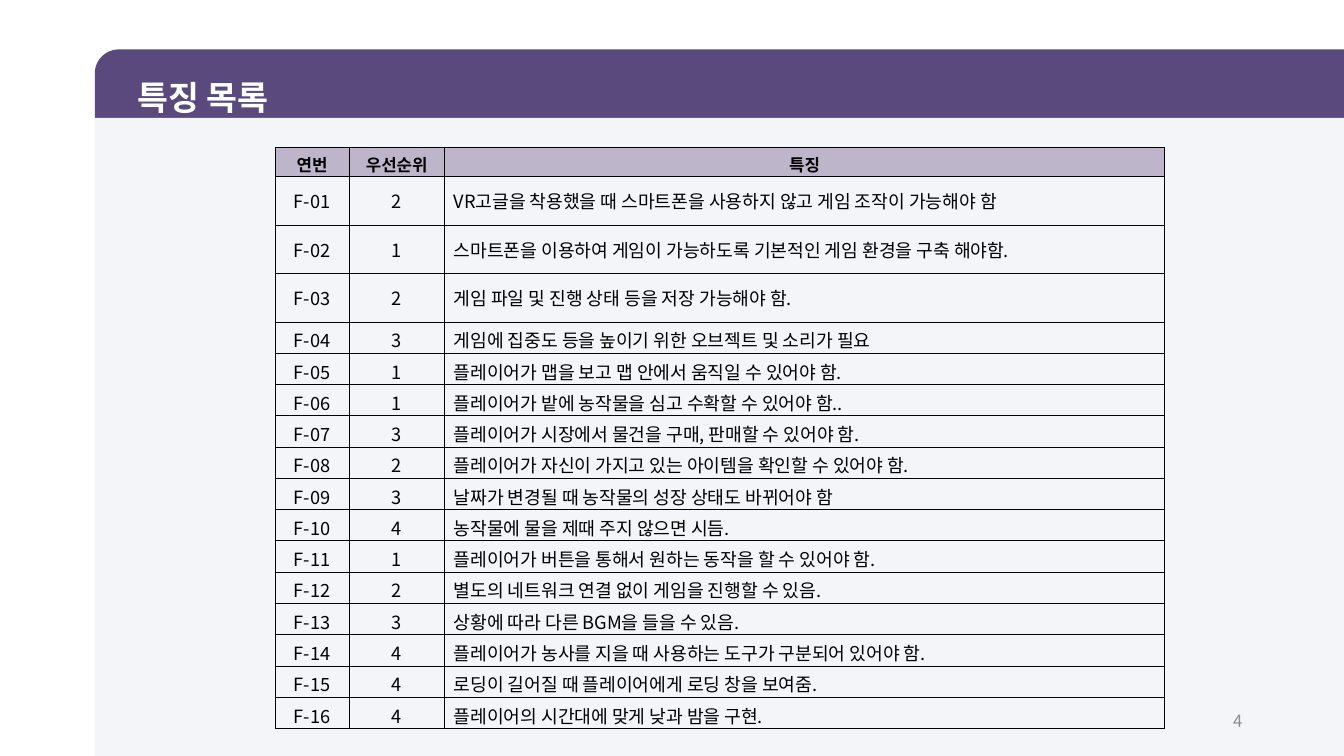
import pptx
import pptx.util
import pptx.dml.color
import pptx.enum.shapes
import pptx.enum.text
import pptx.oxml
import pptx.oxml.ns

Inches = pptx.util.Inches
Pt = pptx.util.Pt
RGBColor = pptx.dml.color.RGBColor
SHAPE = pptx.enum.shapes.MSO_SHAPE
ALIGN = pptx.enum.text.PP_ALIGN
ANCHOR = pptx.enum.text.MSO_ANCHOR
qn = pptx.oxml.ns.qn

FONT = "Noto Sans CJK KR"
PURPLE = RGBColor(0x5A, 0x49, 0x7D)
PALE = RGBColor(0xF4, 0xF5, 0xF9)
LILAC = RGBColor(0xBD, 0xB6, 0xCB)
WHITE = RGBColor(0xFF, 0xFF, 0xFF)
BLACK = RGBColor(0, 0, 0)
GRAY = RGBColor(0x8C, 0x8C, 0x8C)

HEADS = ["연번", "우선순위", "특징"]
ITEMS = [
    (2, "VR고글을 착용했을 때 스마트폰을 사용하지 않고 게임 조작이 가능해야 함"),
    (1, "스마트폰을 이용하여 게임이 가능하도록 기본적인 게임 환경을 구축 해야함."),
    (2, "게임 파일 및 진행 상태 등을 저장 가능해야 함."),
    (3, "게임에 집중도 등을 높이기 위한 오브젝트 및 소리가 필요"),
    (1, "플레이어가 맵을 보고 맵 안에서 움직일 수 있어야 함."),
    (1, "플레이어가 밭에 농작물을 심고 수확할 수 있어야 함.."),
    (3, "플레이어가 시장에서 물건을 구매, 판매할 수 있어야 함."),
    (2, "플레이어가 자신이 가지고 있는 아이템을 확인할 수 있어야 함."),
    (3, "날짜가 변경될 때 농작물의 성장 상태도 바뀌어야 함"),
    (4, "농작물에 물을 제때 주지 않으면 시듬."),
    (1, "플레이어가 버튼을 통해서 원하는 동작을 할 수 있어야 함."),
    (2, "별도의 네트워크 연결 없이 게임을 진행할 수 있음."),
    (3, "상황에 따라 다른 BGM을 들을 수 있음."),
    (4, "플레이어가 농사를 지을 때 사용하는 도구가 구분되어 있어야 함."),
    (4, "로딩이 길어질 때 플레이어에게 로딩 창을 보여줌."),
    (4, "플레이어의 시간대에 맞게 낮과 밤을 구현."),
]


def write(frame, text, size=13, color=BLACK, bold=False, align=ALIGN.LEFT,
          space=None):
    para = frame.paragraphs[0]
    para.alignment = align
    para.line_spacing = space
    run = para.add_run()
    run.text = text
    font = run.font
    font.name, font.size, font.bold = FONT, Pt(size), bold
    font.color.rgb = color
    # Kerning off; East Asian letters take their own font entry
    props = run._r.rPr
    props.set("kern", "0")
    east = pptx.oxml.parse_xml(
        '<a:ea xmlns:a="http://schemas.openxmlformats.org/drawingml/2006/main"'
        f' typeface="{FONT}"/>')
    props.find(qn("a:latin")).addnext(east)


def place(shape, left, top, width, height):
    shape.left, shape.top = Inches(left), Inches(top)
    shape.width, shape.height = Inches(width), Inches(height)


def panel(slide, kind, top, height, color):
    shape = slide.shapes.add_shape(
        kind, Inches(0.94), Inches(top), Inches(12.39), Inches(height))
    shape.shadow.inherit = False
    shape.fill.solid()
    shape.fill.fore_color.rgb = color
    shape.line.fill.background()
    shape._element.spPr.xfrm.set("flipH", "1")
    return shape


def border(cell):
    props = cell._tc.get_or_add_tcPr()
    for at, side in enumerate(("lnL", "lnR", "lnT", "lnB")):
        props.insert(at, pptx.oxml.parse_xml(
            f'<a:{side} xmlns:a="http://schemas.openxmlformats.org/drawingml/'
            f'2006/main" w="{Pt(0.28)}"><a:solidFill><a:srgbClr '
            f'val="{BLACK}"/></a:solidFill></a:{side}>'))


def grid(slide):
    rows = [HEADS] + [(f"F-{num:02}", str(rank), text)
                      for num, (rank, text) in enumerate(ITEMS, 1)]
    table = slide.shapes.add_table(
        len(rows), 3, Inches(2.73), Inches(1.46),
        Inches(8.82), Inches(5.75)).table
    table.horz_banding = False
    for col, width in zip(table.columns, (0.73, 0.95, 7.14)):
        col.width = Inches(width)
    for r, row in enumerate(rows):
        head = r == 0
        # The first three items stand in taller rows
        tall = 1 <= r <= 3
        table.rows[r].height = Inches(0.28 if head else 0.48 if tall else 0.31)
        for c, text in enumerate(row):
            cell = table.cell(r, c)
            cell.vertical_anchor = ANCHOR.MIDDLE
            cell.margin_left = cell.margin_right = Inches(0.09)
            cell.margin_top = Inches(0.05)
            cell.margin_bottom = Inches(0.05 if tall else 0)
            if head:
                cell.fill.solid()
                cell.fill.fore_color.rgb = LILAC
            else:
                cell.fill.background()
            border(cell)
            write(cell.text_frame, text, size=12 if head else 13, bold=head,
                  align=ALIGN.CENTER if head or c < 2 else ALIGN.LEFT)


def main():
    deck = pptx.Presentation()
    deck.slide_width, deck.slide_height = Inches(13.33), Inches(7.5)
    slide = deck.slides.add_slide(deck.slide_layouts[5])

    # Backdrop, kept behind the title
    bar = panel(slide, SHAPE.ROUND_1_RECTANGLE, 0.49, 0.68, PURPLE)
    bar.adjustments[0] = 0.35
    panel(slide, SHAPE.RECTANGLE, 1.17, 6.33, PALE)

    # Title
    title = slide.shapes.title
    slide.shapes._spTree.append(title._element)
    place(title, 1.26, 0.51, 4.68, 0.63)
    title.text_frame.vertical_anchor = ANCHOR.TOP
    title.text_frame.auto_size = pptx.enum.text.MSO_AUTO_SIZE.NONE
    write(title.text_frame, "특징 목록", size=24, color=WHITE, bold=True, space=1.5)

    # Feature table
    grid(slide)

    # Page number
    page = slide.shapes.add_textbox(
        Inches(9.42), Inches(6.95), Inches(3), Inches(0.4))
    page.text_frame.word_wrap = True
    page.text_frame.vertical_anchor = ANCHOR.MIDDLE
    write(page.text_frame, "4", size=12, color=GRAY, align=ALIGN.RIGHT)

    deck.save("out.pptx")


if __name__ == "__main__":
    main()
